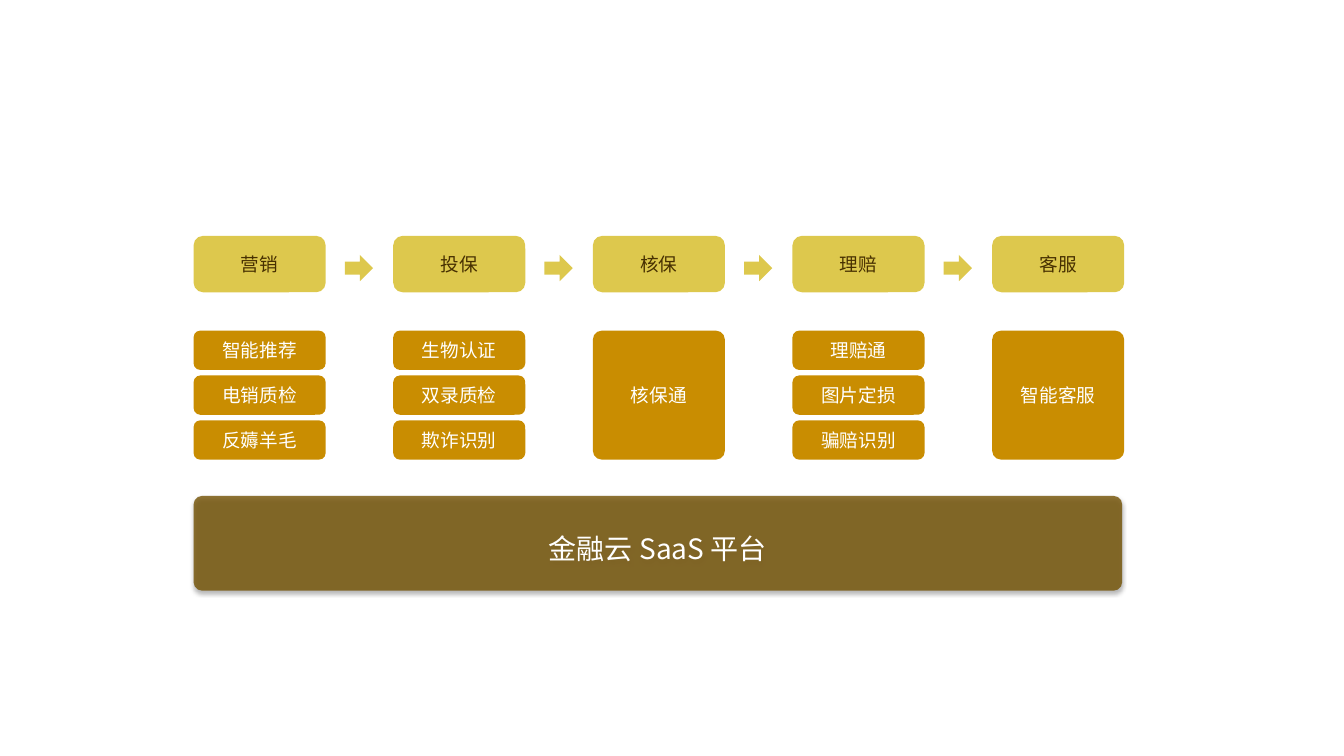
import pptx
import pptx.dml.color
import pptx.enum.shapes
import pptx.enum.text
import pptx.oxml
import pptx.oxml.ns
import pptx.util
from pptx.util import Inches

COLORS = {
    "stage": "DDC84D",
    "stage_text": "473001",
    "service": "C98D01",
    "platform": "725000",
    "white": "FFFFFF",
}
FONT = "Noto Sans CJK SC"
SHAPES = pptx.enum.shapes.MSO_SHAPE


def add_block(place, color, kind=SHAPES.ROUNDED_RECTANGLE, corner=None):
    box = page.shapes.add_shape(kind, *[Inches(length) for length in place])
    box.shadow.inherit = False
    box.fill.solid()
    box.fill.fore_color.rgb = pptx.dml.color.RGBColor.from_string(COLORS[color])
    box.line.fill.background()
    if corner is not None:
        box.adjustments[0] = corner
    return box


def write_text(box, text, color="white", size=13.3, top_inset=0.07):
    frame = box.text_frame
    frame.word_wrap = True
    frame.vertical_anchor = pptx.enum.text.MSO_ANCHOR.MIDDLE
    frame.margin_left = frame.margin_right = frame.margin_bottom = Inches(0.07)
    frame.margin_top = Inches(top_inset)
    para = frame.paragraphs[0]
    para.alignment = pptx.enum.text.PP_ALIGN.CENTER
    span = para.add_run()
    span.text = text
    span.font.size = pptx.util.Pt(size)
    span.font.name = FONT
    span.font.color.rgb = pptx.dml.color.RGBColor.from_string(COLORS[color])
    east_asian = pptx.oxml.parse_xml(
        f'<a:ea {pptx.oxml.ns.nsdecls("a")} typeface="{FONT}"/>'
    )
    span.font._element.append(east_asian)


deck = pptx.Presentation()
deck.slide_width = Inches(13.33)
deck.slide_height = Inches(7.5)
page = deck.slides.add_slide(deck.slide_layouts[6])

stages = [
    ("营销", ["智能推荐", "电销质检", "反薅羊毛"]),
    ("投保", ["生物认证", "双录质检", "欺诈识别"]),
    ("核保", ["核保通"]),
    ("理赔", ["理赔通", "图片定损", "骗赔识别"]),
    ("客服", ["智能客服"]),
]
left, pitch, width = 1.92, 1.98, 1.31
service_top, row_pitch = 3.28, 0.445

for column, (stage, services) in enumerate(stages):
    x = left + column * pitch
    write_text(add_block((x, 2.34, width, 0.56), "stage"), stage, color="stage_text")
    if column < len(stages) - 1:
        add_block((x + 1.5, 2.53, 0.28, 0.26), "stage", kind=SHAPES.RIGHT_ARROW)
    height, corner = (1.28, 0.07) if len(services) == 1 else (0.39, 0.17)
    for row, service in enumerate(services):
        y = service_top + row * row_pitch
        write_text(add_block((x, y, width, height), "service", corner=corner), service)

platform = add_block((left, 4.92, 9.21, 0.94), "platform", corner=0.09)
write_text(platform, "金融云 SaaS 平台", size=20, top_inset=0.16)

properties = platform._element.spPr
fill_color = properties.find(pptx.oxml.ns.qn("a:solidFill"))[0]
fill_color.append(
    pptx.oxml.parse_xml(f'<a:alpha {pptx.oxml.ns.nsdecls("a")} val="79000"/>')
)
properties.find(pptx.oxml.ns.qn("a:effectLst")).append(
    pptx.oxml.parse_xml(
        f'<a:outerShdw {pptx.oxml.ns.nsdecls("a")} blurRad="{pptx.util.Pt(3)}" '
        f'dist="{pptx.util.Pt(1.8)}" dir="5400000" rotWithShape="0">'
        '<a:srgbClr val="000000"><a:alpha val="35000"/></a:srgbClr></a:outerShdw>'
    )
)

deck.save("out.pptx")
